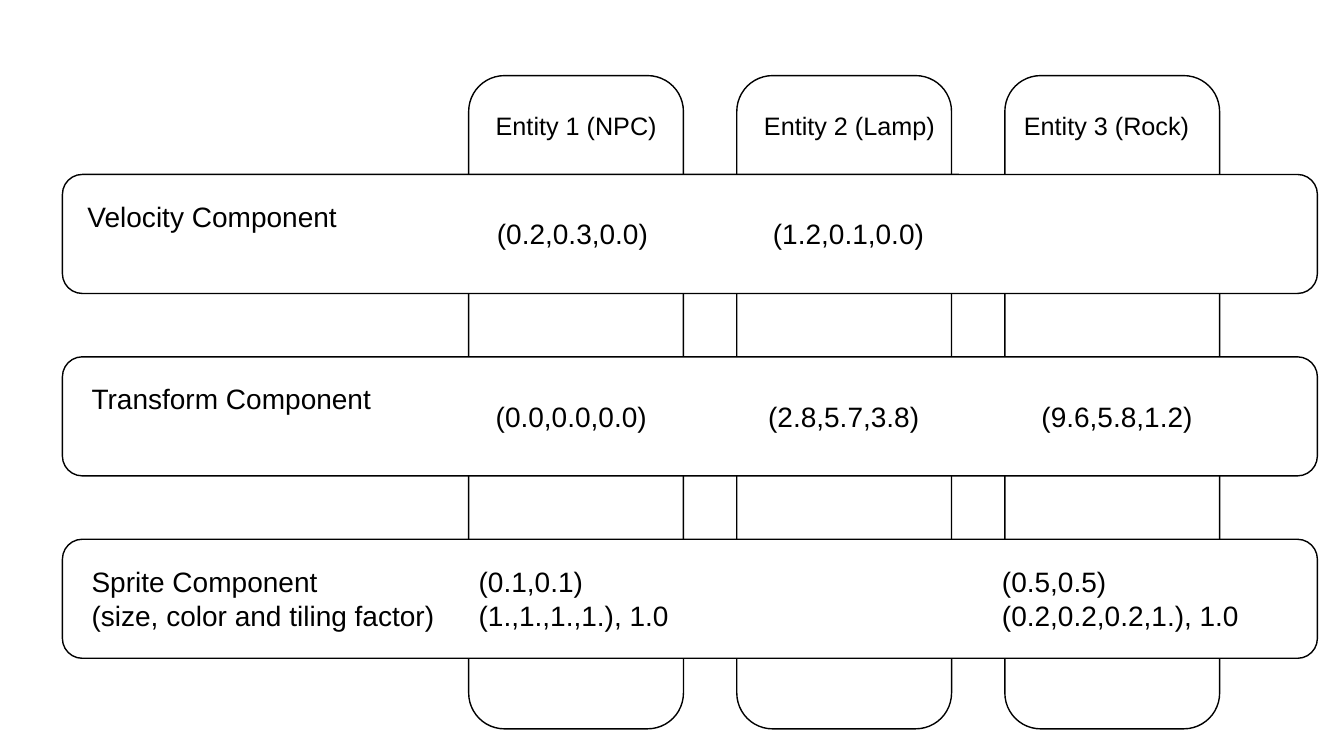
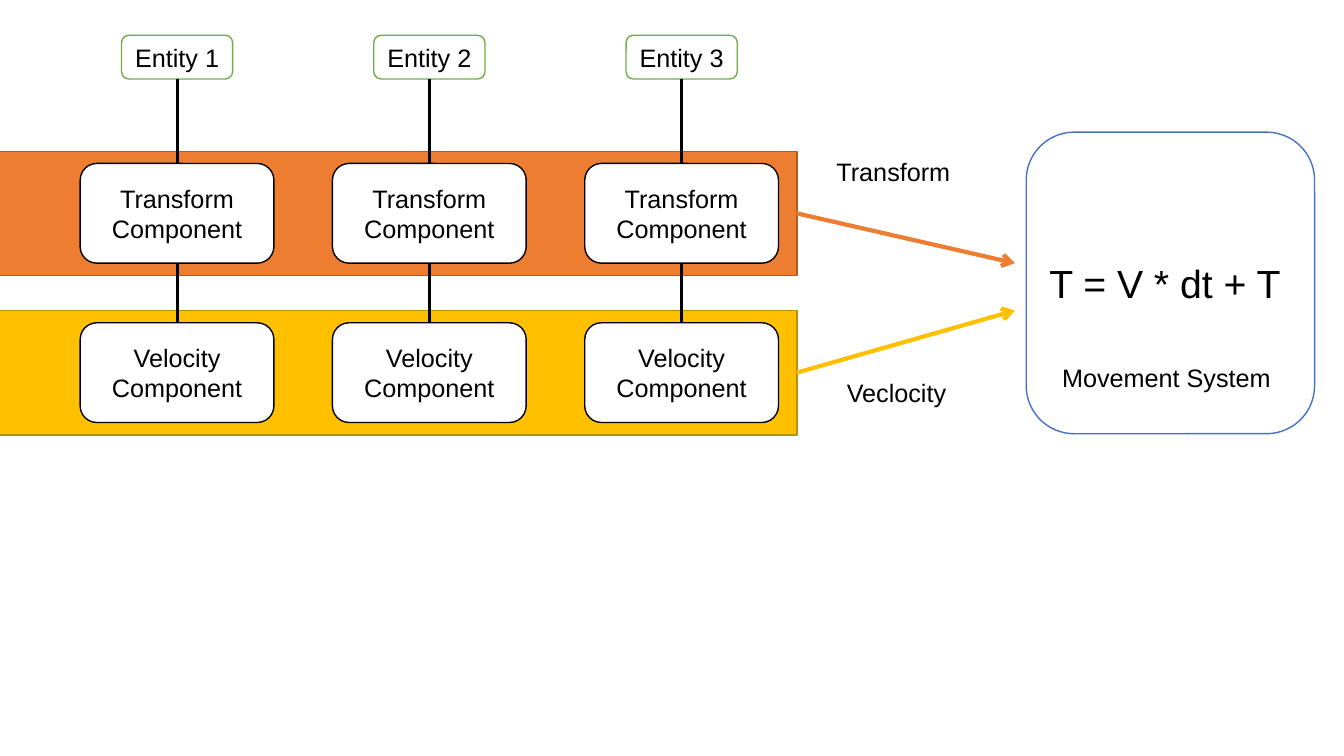
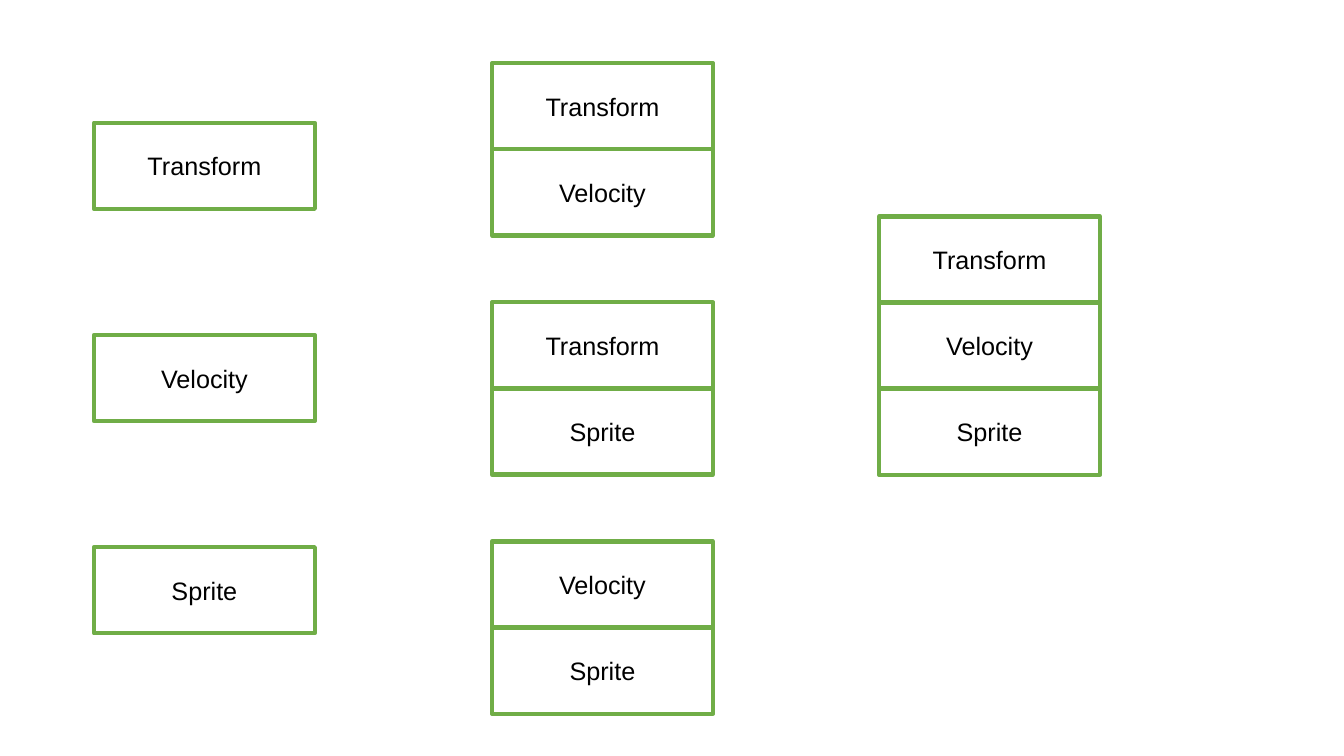
import pptx
import pptx.dml.color
import pptx.enum.shapes
import pptx.enum.text
import pptx.oxml.ns
import pptx.util
from lxml import etree

Pt = pptx.util.Pt
qn = pptx.oxml.ns.qn
SHAPE = pptx.enum.shapes.MSO_SHAPE
BLACK, WHITE = "000000", "FFFFFF"
GREEN, BLUE = "70AD47", "4472C4"
ORANGE, DARK_ORANGE = "ED7D31", "AF5C24"
GOLD, DARK_GOLD = "FFC000", "BD8E00"


def rgb(value):
    return pptx.dml.color.RGBColor.from_string(value)


class Deck:
    """Holds the shared style and the slide being drawn; lengths are in points."""

    font = "Arial"

    def __init__(self):
        self.prs = pptx.Presentation()
        self.prs.slide_width, self.prs.slide_height = Pt(960), Pt(540)
        self.s = None

    def new_slide(self):
        self.s = self.prs.slides.add_slide(self.prs.slide_layouts[6])

    def set_text(self, tf, text, size, align):
        tf.word_wrap = True
        tf.text = text
        for p in tf.paragraphs:
            p.alignment = align
            for r in p.runs:
                r.font.name = self.font
                r.font.size = Pt(size)
                r.font.color.rgb = rgb(BLACK)

    def box(self, x, y, w, h, text="", kind=SHAPE.ROUNDED_RECTANGLE,
            fill=WHITE, line=BLACK, weight=1):
        sp = self.s.shapes.add_shape(kind, Pt(x), Pt(y), Pt(w), Pt(h))
        sp.shadow.inherit = False
        sp.fill.solid()
        sp.fill.fore_color.rgb = rgb(fill)
        sp.line.color.rgb = rgb(line)
        sp.line.width = Pt(weight)
        if text:
            sp.text_frame.vertical_anchor = pptx.enum.text.MSO_ANCHOR.MIDDLE
            self.set_text(sp.text_frame, text, 18, pptx.enum.text.PP_ALIGN.CENTER)
        return sp

    def label(self, x, y, w, text, size=18):
        h = size * 1.2 * (text.count("\n") + 1) + 7.2
        sp = self.s.shapes.add_textbox(Pt(x), Pt(y), Pt(w), Pt(h))
        self.set_text(sp.text_frame, text, size, pptx.enum.text.PP_ALIGN.LEFT)

    def connector(self, start, side, end, color, weight):
        """Join a side of start to the top of a shape, or to a point with an arrowhead."""
        is_point = isinstance(end, tuple)
        x, y = end if is_point else (0, 0)
        c = self.s.shapes.add_connector(
            pptx.enum.shapes.MSO_CONNECTOR.STRAIGHT, 0, 0, Pt(x), Pt(y))
        c.begin_connect(start, side)
        if not is_point:
            c.end_connect(end, 0)
        c.line.color.rgb = rgb(color)
        c.line.width = Pt(weight)
        props = c.element.spPr
        if is_point:
            etree.SubElement(props.find(qn("a:ln")), qn("a:tailEnd"), type="arrow")
        etree.SubElement(props, qn("a:effectLst"))


def component_grid(deck):
    deck.new_slide()
    bar_top, bar_pitch = 124.6, 130.3
    for i in range(3):
        deck.box(334.8 + i * 191.5, 54, 153.4, 466.6)
    for i in range(3):
        deck.box(44.6, bar_top + i * bar_pitch, 896.4, 85)

    entities = [(347, "Entity 1 (NPC)"), (538.6, "Entity 2 (Lamp)"), (724.3, "Entity 3 (Rock)")]
    for x, text in entities:
        deck.label(x, 75.6, 142, text)

    rows = [
        (55.4, "Velocity Component", 26.6,
         [(347.8, "(0.2,0.3,0.0)"), (545, "(1.2,0.1,0.0)")]),
        (58.3, "Transform Component", 26.6,
         [(347, "(0.0,0.0,0.0)"), (541.6, "(2.8,5.7,3.8)"), (736.8, "(9.6,5.8,1.2)")]),
        (58.3, "Sprite Component\n(size, color and tiling factor)", 14.4,
         [(334.8, "(0.1,0.1)\n(1.,1.,1.,1.), 1.0"), (708.6, "(0.5,0.5)\n(0.2,0.2,0.2,1.), 1.0")]),
    ]
    for i, (label_x, name, value_drop, values) in enumerate(rows):
        top = bar_top + i * bar_pitch
        deck.label(label_x, top + 14.4, 264, name, 20)
        for x, text in values:
            deck.label(x, top + value_drop, 190 if "\n" in text else 129, text, 20)


def movement_system(deck):
    deck.new_slide()
    band_h, inset, card_w, card_h, entity_w = 88.8, 8.8, 138.4, 71.2, 79.4
    bands = [
        ("Transform Component", 108, ORANGE, DARK_ORANGE, (725, 188)),
        ("Velocity Component", 221.8, GOLD, DARK_GOLD, (725, 221.8)),
    ]
    for _, y, fill, line, target in bands:
        band = deck.box(-13, y, 582.2, band_h, kind=SHAPE.RECTANGLE, fill=fill, line=line)
        deck.connector(band, 3, target, fill, 3)

    for i in range(3):
        center = 126.5 + i * 180.2
        above = deck.box(center - entity_w / 2, 25.2, entity_w, 31.2,
                         f"Entity {i + 1}", line=GREEN)
        for text, y, *_ in bands:
            card = deck.box(center - card_w / 2, y + inset, card_w, card_h, text)
            deck.connector(above, 2, card, BLACK, 2.25)
            above = card

    deck.box(733, 94.4, 206, 215.4, line=BLUE)
    deck.label(590.4, 108, 122, "Transform")
    deck.label(597.8, 266, 122, "Veclocity")
    deck.label(751.6, 255.4, 168, "Movement System")
    deck.label(742.4, 181.6, 190, "T = V * dt + T", 28)


def component_combinations(deck):
    deck.new_slide()
    w, h = 157.8, 61.5
    transform, velocity, sprite = "Transform", "Velocity", "Sprite"
    # left, first top, pitch, stacks
    columns = [
        (67.1, 87.7, 151.6, [[transform], [velocity], [sprite]]),
        (351.4, 45.2, 170.8, [[transform, velocity], [transform, sprite], [velocity, sprite]]),
        (627.9, 154.6, 0, [[transform, velocity, sprite]]),
    ]
    for x, top, pitch, stacks in columns:
        for i, stack in enumerate(stacks):
            for j, name in enumerate(stack):
                deck.box(x, top + i * pitch + j * h, w, h, name,
                         kind=SHAPE.RECTANGLE, line=GREEN, weight=3)


def main():
    deck = Deck()
    component_grid(deck)
    movement_system(deck)
    component_combinations(deck)
    deck.prs.save("out.pptx")


if __name__ == "__main__":
    main()
